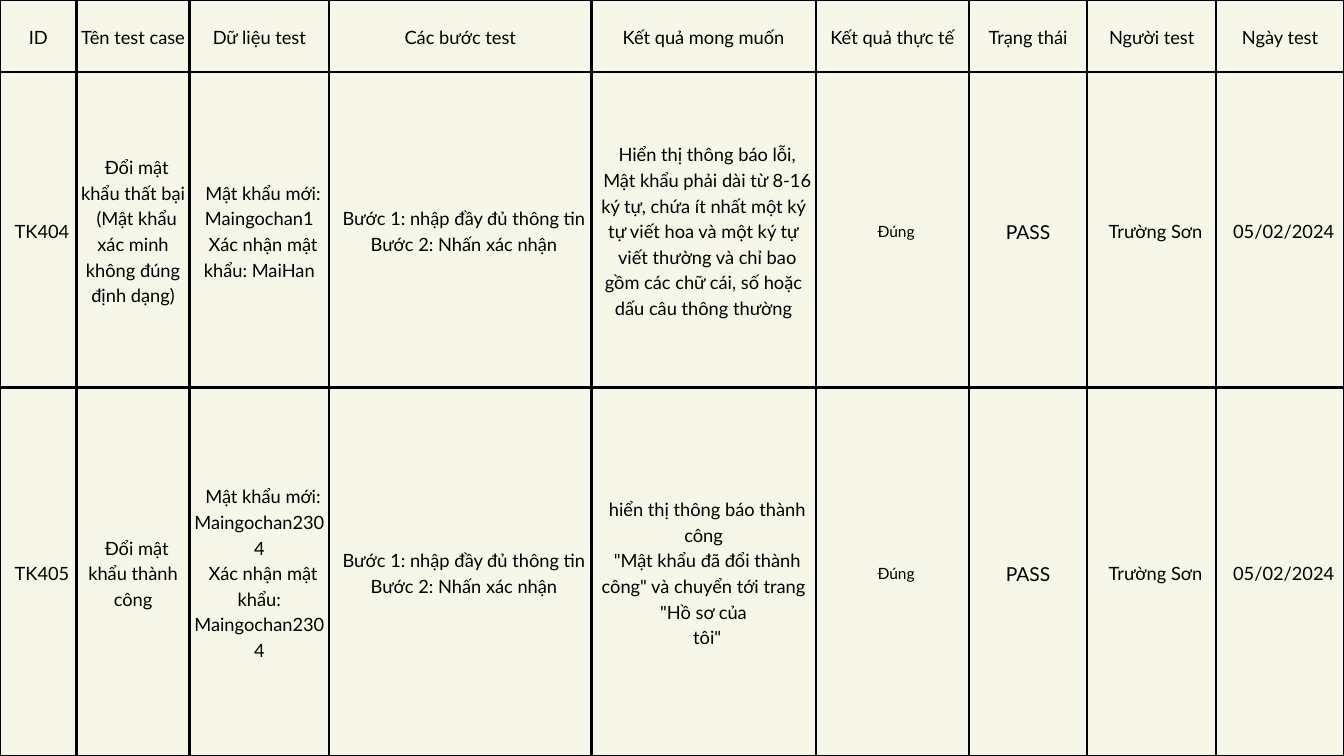
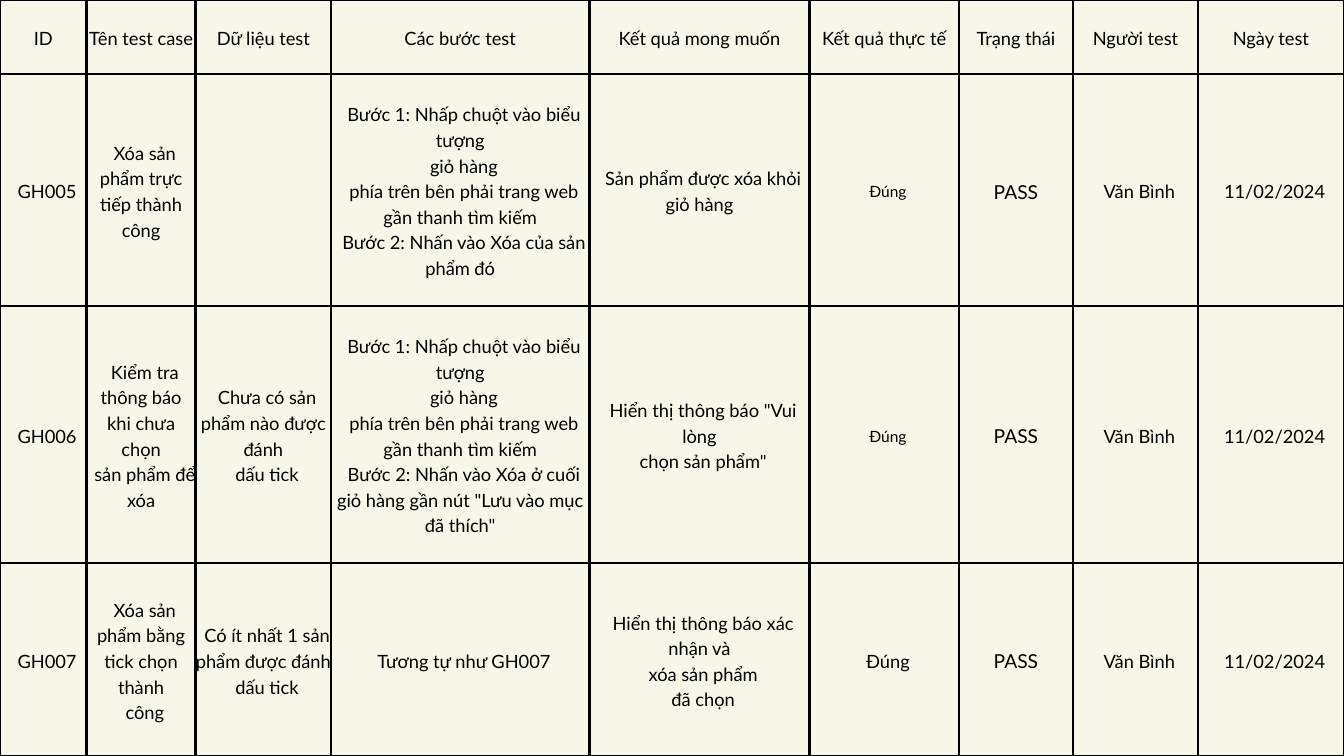
from lxml import etree
from pptx import Presentation
from pptx.dml.color import RGBColor
from pptx.enum.text import MSO_ANCHOR, PP_ALIGN
from pptx.oxml.ns import qn
from pptx.util import Inches, Pt

CENTER, MIDDLE = PP_ALIGN.CENTER, MSO_ANCHOR.MIDDLE

# Shared look
FONT = "Lato"
BACKGROUND, INK = "F6F6E9", "000000"
BODY_SIZE, SMALL_SIZE, STATUS_SIZE = 19.6, 16.6, 20.6
LINE_FACTOR = 1.4
BORDER_WIDTH = Pt(3)
INDENT = Inches(0.11)
SLIDE_WIDTH, SLIDE_HEIGHT = Inches(20), Inches(11.25)

# Shared wording
HEADERS = ["ID", "Tên test case", "Dữ liệu test", "Các bước test",
           "Kết quả mong muốn", "Kết quả thực tế", "Trạng thái",
           "Người test", "Ngày test"]
CORRECT, STATUS = "Đúng", "PASS"
CONFIRM_STEPS = "Bước 1: nhập đầy đủ thông tin\nBước 2: Nhấn xác nhận"
OPEN_CART = ("Bước 1: Nhấp chuột vào biểu tượng\ngiỏ hàng\n"
             "phía trên bên phải trang web gần thanh tìm kiếm\n")

# Each case: ID, name, data, steps, expected result, size of the actual result
PASSWORD_CASES = [
    ("TK404",
     "Đổi mật khẩu thất bại\n(Mật khẩu xác minh không đúng định dạng)",
     "Mật khẩu mới: Maingochan1\nXác nhận mật khẩu: MaiHan",
     CONFIRM_STEPS,
     "Hiển thị thông báo lỗi,\n"
     "Mật khẩu phải dài từ 8-16 ký tự, chứa ít nhất một ký tự viết hoa và một ký tự\n"
     "viết thường và chỉ bao gồm các chữ cái, số hoặc dấu câu thông thường",
     SMALL_SIZE),
    ("TK405",
     "Đổi mật khẩu thành công",
     "Mật khẩu mới: Maingochan2304\nXác nhận mật khẩu: Maingochan2304",
     CONFIRM_STEPS,
     "hiển thị thông báo thành công\n"
     '"Mật khẩu đã đổi thành công" và chuyển tới trang "Hồ sơ của\ntôi"',
     SMALL_SIZE),
]
CART_CASES = [
    ("GH005",
     "Xóa sản phẩm trực tiếp thành công",
     "",
     OPEN_CART + "Bước 2: Nhấn vào Xóa của sản phẩm đó",
     "Sản phẩm được xóa khỏi giỏ hàng",
     SMALL_SIZE),
    ("GH006",
     "Kiểm tra thông báo khi chưa chọn\nsản phẩm để xóa",
     "Chưa có sản phẩm nào được đánh\ndấu tick",
     OPEN_CART + 'Bước 2: Nhấn vào Xóa ở cuối giỏ hàng gần nút "Lưu vào mục đã thích"',
     'Hiển thị thông báo "Vui lòng\nchọn sản phẩm"',
     SMALL_SIZE),
    ("GH007",
     "Xóa sản phẩm bằng tick chọn thành\ncông",
     "Có ít nhất 1 sản phẩm được đánh\ndấu tick",
     "Tương tự như GH007",
     "Hiển thị thông báo xác nhận và\nxóa sản phẩm\nđã chọn",
     BODY_SIZE),
]


def color(hex_code):
    return RGBColor.from_string(hex_code)


def add_borders(cell):
    properties = cell._tc.get_or_add_tcPr()
    for side in ("lnL", "lnR", "lnT", "lnB"):
        line = etree.SubElement(properties, qn(f"a:{side}"), w=str(BORDER_WIDTH))
        fill = etree.SubElement(line, qn("a:solidFill"))
        etree.SubElement(fill, qn("a:srgbClr"), val=INK)


def fill_cell(cell, text, size=BODY_SIZE, indent=INDENT):
    add_borders(cell)
    cell.fill.background()
    cell.margin_left = cell.margin_right = 0
    cell.margin_top = cell.margin_bottom = 0
    cell.vertical_anchor = MIDDLE
    cell.text_frame.text = text
    for paragraph in cell.text_frame.paragraphs:
        paragraph._p.get_or_add_pPr().set("indent", str(indent))
        paragraph.alignment = CENTER
        paragraph.line_spacing = Pt(round(size * LINE_FACTOR, 1))
        paragraph.font.name = FONT
        paragraph.font.size = Pt(size)
        paragraph.font.color.rgb = color(INK)


def fill_case(cells, case, tester, date):
    *descriptions, result_size = case
    texts = [*descriptions, CORRECT, STATUS, tester, date]
    styles = {CORRECT: (result_size, INDENT), STATUS: (STATUS_SIZE, 0)}
    for cell, text in zip(cells, texts):
        fill_cell(cell, text, *styles.get(text, (BODY_SIZE, INDENT)))


def add_test_slide(prs, widths, heights, cases, tester, date):
    slide = prs.slides.add_slide(prs.slide_layouts[6])
    slide.background.fill.solid()
    slide.background.fill.fore_color.rgb = color(BACKGROUND)

    table = slide.shapes.add_table(len(heights), len(widths), 0, 0,
                                   SLIDE_WIDTH, SLIDE_HEIGHT).table
    table.first_row = table.horz_banding = False
    for column, width in zip(table.columns, widths):
        column.width = Inches(width)
    for row, height in zip(table.rows, heights):
        row.height = Inches(height)

    # Header row, then one row per test case
    header, *case_rows = table.rows
    for cell, title in zip(header.cells, HEADERS):
        fill_cell(cell, title, indent=0)
    for row, case in zip(case_rows, cases):
        fill_case(row.cells, case, tester, date)


def main():
    prs = Presentation()
    prs.slide_width, prs.slide_height = SLIDE_WIDTH, SLIDE_HEIGHT

    # Changing the password
    add_test_slide(prs, [1.14, 1.68, 2.08, 3.9, 3.34, 2.28, 1.76, 1.92, 1.9],
                   [1.07, 4.7, 5.48], PASSWORD_CASES, "Trường Sơn", "05/02/2024")
    # Removing products from the cart
    add_test_slide(prs, [1.29, 1.62, 2.02, 3.84, 3.28, 2.22, 1.7, 1.86, 2.17],
                   [1.1, 3.45, 3.83, 2.87], CART_CASES, "Văn Bình", "11/02/2024")

    prs.save("out.pptx")


if __name__ == "__main__":
    main()
